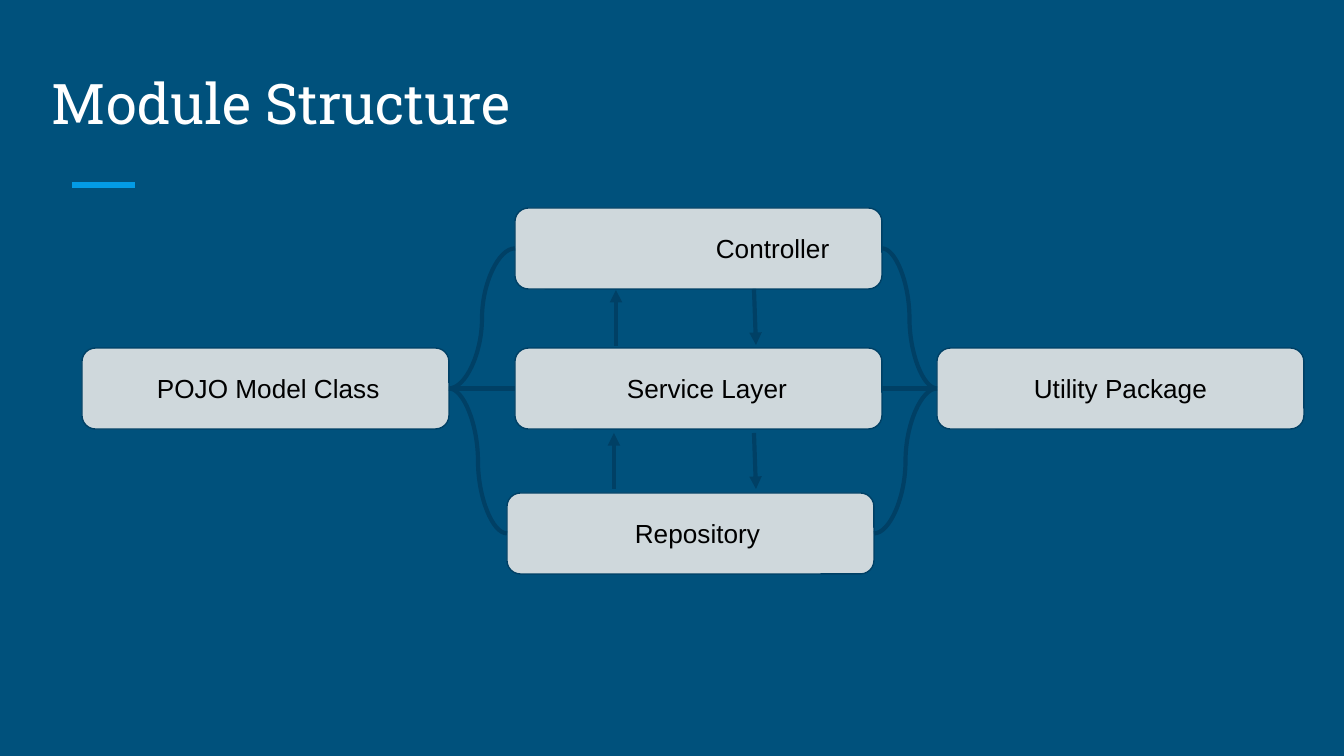
"""Build the Module Structure slide: layered modules joined by connectors."""

from dataclasses import dataclass

from lxml.etree import SubElement
from pptx import Presentation
from pptx.dml.color import RGBColor
from pptx.enum.shapes import MSO_CONNECTOR, MSO_SHAPE
from pptx.enum.text import MSO_ANCHOR, PP_ALIGN
from pptx.oxml.ns import qn
from pptx.shapes.autoshape import Shape
from pptx.shapes.connector import Connector
from pptx.slide import Slide
from pptx.util import Emu, Pt

EMU_PER_INCH = 914400
PX_PER_INCH = 134.4

BACKGROUND = RGBColor(0x00, 0x51, 0x7C)
ACCENT = RGBColor(0x03, 0x9B, 0xE5)
WHITE = RGBColor(0xFF, 0xFF, 0xFF)
BLACK = RGBColor(0x00, 0x00, 0x00)
MODULE_FILL = RGBColor(0xCF, 0xD8, 0xDC)
NAVY = RGBColor(0x00, 0x40, 0x65)

MODULE_WIDTH = 367
MODULE_HEIGHT = 81
INSET = 13
LEFT_SITE = 1
RIGHT_SITE = 3


@dataclass(frozen=True)
class Module:
    label: str
    left: int
    top: int
    text_inset: int


@dataclass(frozen=True)
class Stroke:
    x1: int
    y1: int
    x2: int
    y2: int


REPOSITORY = Module("Repository", 507, 493, 124)
SERVICE = Module("Service Layer", 515, 348, 108)
CONTROLLER = Module("Controller", 515, 208, 197)
MODEL = Module("POJO Model Class", 82, 348, 71)
UTILITY = Module("Utility Package", 937, 348, 93)
LAYERS = (CONTROLLER, REPOSITORY, SERVICE)
MODULES = (REPOSITORY, SERVICE, CONTROLLER, MODEL, UTILITY)

TITLE_RULE = Stroke(72, 185, 135, 185)
CALLS = (
    Stroke(614, 489, 614, 433),
    Stroke(616, 346, 616, 290),
    Stroke(754, 289, 756, 345),
    Stroke(754, 433, 756, 489),
)


def px(length: int) -> Emu:
    """Turn pixels into EMU."""
    return Emu(round(length * EMU_PER_INCH / PX_PER_INCH))


def write_text(box: Shape, text: str, font: str, size: int, color: RGBColor,
               anchor: MSO_ANCHOR, left_inset: int = INSET) -> None:
    """Fill a box with one left-aligned line of text."""
    frame = box.text_frame
    frame.text = text
    frame.word_wrap = True
    frame.vertical_anchor = anchor
    frame.margin_left = px(left_inset)
    frame.margin_top = frame.margin_right = frame.margin_bottom = px(INSET)
    paragraph = frame.paragraphs[0]
    paragraph.alignment = PP_ALIGN.LEFT
    span = paragraph.runs[0]
    span.font.name = font
    span.font.size = Pt(size)
    span.font.color.rgb = color


def draw_module(page: Slide, module: Module) -> Shape:
    """Draw one rounded module box with its label."""
    box = page.shapes.add_shape(
        MSO_SHAPE.ROUNDED_RECTANGLE, px(module.left), px(module.top),
        px(MODULE_WIDTH), px(MODULE_HEIGHT))
    box.shadow.inherit = False
    box.fill.solid()
    box.fill.fore_color.rgb = MODULE_FILL
    box.line.color.rgb = NAVY
    box.line.width = Pt(0.75)
    write_text(box, module.label, "Arial", 14, BLACK,
               MSO_ANCHOR.MIDDLE, module.text_inset)
    return box


def style_line(line: Connector, color: RGBColor, width: float) -> None:
    """Give a connector its colour and width, without a shadow."""
    line.line.color.rgb = color
    line.line.width = Pt(width)
    SubElement(line._element.spPr, qn("a:effectLst"))


def draw_stroke(page: Slide, stroke: Stroke, color: RGBColor, width: float,
                arrow: bool = False) -> None:
    """Draw a straight line, with an arrowhead at its end if asked."""
    line = page.shapes.add_connector(
        MSO_CONNECTOR.STRAIGHT, px(stroke.x1), px(stroke.y1),
        px(stroke.x2), px(stroke.y2))
    style_line(line, color, width)
    if arrow:
        SubElement(line.line._get_or_add_ln(), qn("a:tailEnd"), type="triangle")


def draw_link(page: Slide, start: Shape, start_site: int,
              end: Shape, end_site: int) -> None:
    """Join two modules with a curved connector."""
    link = page.shapes.add_connector(MSO_CONNECTOR.CURVE, 0, 0, 0, 0)
    link.begin_connect(start, start_site)
    link.end_connect(end, end_site)
    style_line(link, NAVY, 2.25)


def main() -> None:
    """Build and save the deck."""
    deck = Presentation()
    deck.slide_width, deck.slide_height = px(1344), px(756)
    page = deck.slides.add_slide(deck.slide_layouts[6])
    page.background.fill.solid()
    page.background.fill.fore_color.rgb = BACKGROUND

    draw_stroke(page, TITLE_RULE, ACCENT, 3)
    title = page.shapes.add_textbox(px(39), px(48), px(1230), px(101))
    write_text(title, "Module Structure", "Roboto Slab", 30, WHITE,
               MSO_ANCHOR.BOTTOM)

    boxes = {module: draw_module(page, module) for module in MODULES}
    for layer in LAYERS:
        draw_link(page, boxes[MODEL], RIGHT_SITE, boxes[layer], LEFT_SITE)
        draw_link(page, boxes[UTILITY], LEFT_SITE, boxes[layer], RIGHT_SITE)
    for call in CALLS:
        draw_stroke(page, call, NAVY, 2.25, arrow=True)

    deck.save("out.pptx")


if __name__ == "__main__":
    main()
